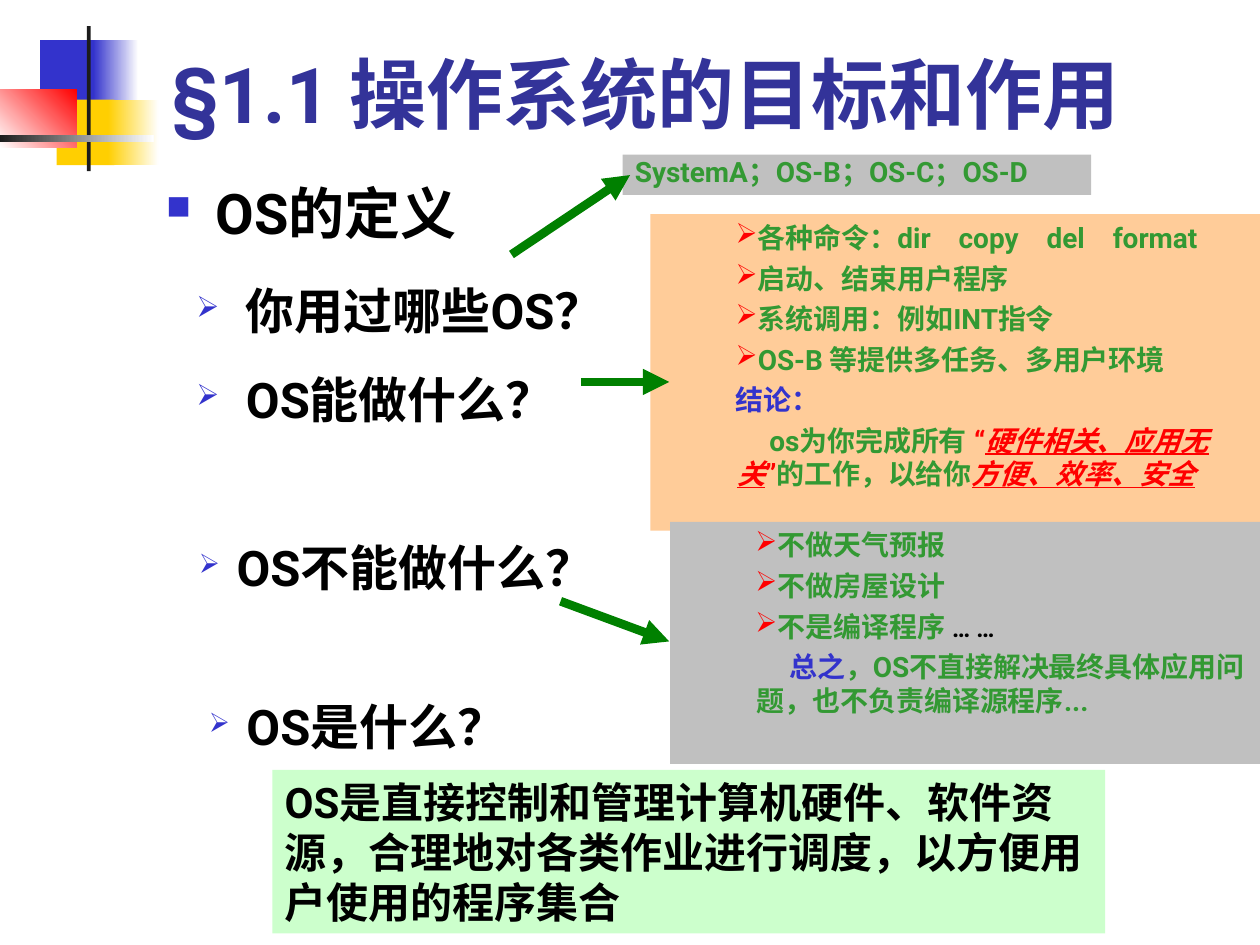
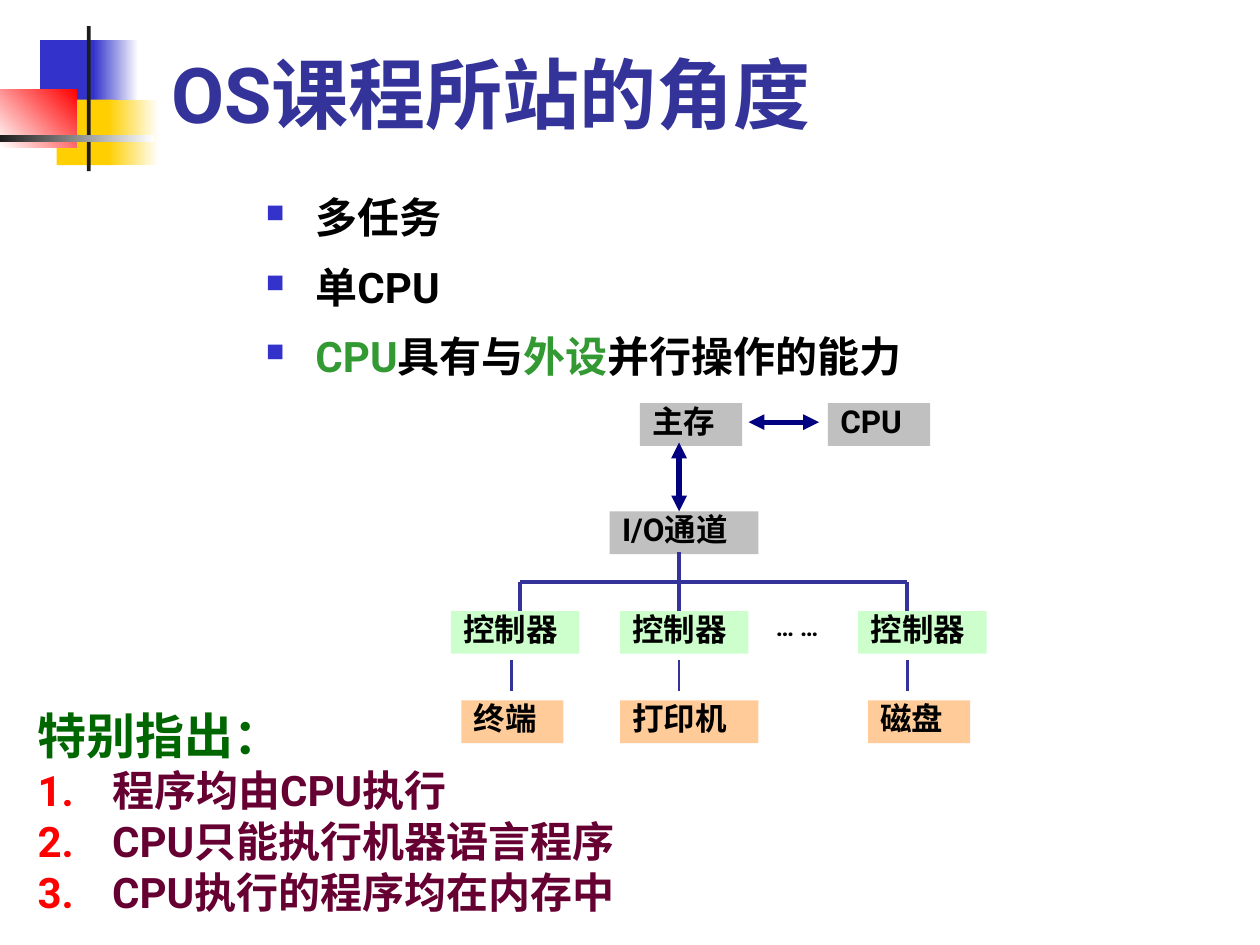
from pptx import Presentation
from pptx.dml.color import RGBColor
from pptx.enum.shapes import MSO_CONNECTOR, MSO_SHAPE
from pptx.enum.text import MSO_ANCHOR, MSO_AUTO_SIZE, PP_ALIGN
from pptx.oxml.ns import qn
from pptx.util import Cm, Pt
from lxml import etree

RECTANGLE = MSO_SHAPE.RECTANGLE
STRAIGHT = MSO_CONNECTOR.STRAIGHT
LEFT = PP_ALIGN.LEFT
TOP, BOTTOM = MSO_ANCHOR.TOP, MSO_ANCHOR.BOTTOM
FIXED = MSO_AUTO_SIZE.NONE
TITLE_ONLY = 5

FONT = "Roboto"
COLORS = {
    "black": "000000", "white": "FFFFFF", "ink": "1C1C1C",
    "title": "333399", "blue": "3333CC", "navy": "000080",
    "yellow": "FFCF01", "red": "FF0000", "plum": "660033",
    "green": "339933", "arrow": "008000", "forest": "006600",
    "gray": "C0C0C0", "peach": "FFCC99", "mint": "CCFFCC",
}

# Paragraph styles: size, color, spacing before, line spacing, indents, bullet
STYLES = {
    "topic": dict(size=32, before=8, lines=0.8, margin=1, first=-1,
                  bullet="■", tint="blue", scale=60),
    "fact": dict(size=24, before=6, lines=0.8, margin=1, first=-1,
                 bullet="■", tint="blue", scale=60),
    "question": dict(size=28, before=7, margin=1, first=-1,
                     bullet="➢", tint="blue", scale=60),
    "subquestion": dict(size=28, before=7, margin=0.76, first=-0.76,
                        bullet="➢", tint="blue", scale=55),
    "systems": dict(size=16, color="green", before=4, lines=0.8),
    "answer": dict(size=16, color="green", before=4, margin=1.5, first=-0.03,
                   bullet="➢", tint="red"),
    "heading": dict(size=16, color="blue", before=4, margin=1.5, first=-0.03),
    "summary": dict(size=16, color="green", before=4, margin=1.5, first=0.65),
    "definition": dict(size=24, before=6),
    "unit": dict(size=18, before=4.5, lines=0.8),
    "dots": dict(size=14, before=3.5, lines=0.8),
    "notice": dict(size=28, color="forest", before=7, lines=0.8),
    "rule": dict(size=24, color="plum", before=6, lines=0.8, margin=1.5,
                 first=-1.5, bullet="1.", tint="red"),
}


def rgb(name):
    return RGBColor.from_string(COLORS[name])


def add_xml(parent, tag, **values):
    child = etree.SubElement(parent, qn(tag))
    for name, value in values.items():
        child.set(name, str(value))
    return child


class SlideBuilder:
    def __init__(self, deck):
        self.deck = deck
        self.page = None

    def new_page(self, title):
        self.page = self.deck.slides.add_slide(self.deck.slide_layouts[TITLE_ONLY])
        self.ornament()
        holder = self.page.shapes.title
        self.place(holder, 3.2, 0.91, 21.64, 2.01)
        self.set_frame(holder.text_frame, BOTTOM)
        self.fill_paragraph(holder.text_frame.paragraphs[0], title,
                            dict(size=44, color="title"))

    def place(self, shape, *box):
        for name, value in zip(("left", "top", "width", "height"), box):
            setattr(shape, name, Cm(value))

    def set_frame(self, frame, anchor=TOP):
        values = dict(word_wrap=True, auto_size=FIXED, vertical_anchor=anchor)
        for name, value in values.items():
            setattr(frame, name, value)

    def panel(self, box, fill, fade=None, angle=0):
        shape = self.page.shapes.add_shape(RECTANGLE, *map(Cm, box))
        shape.shadow.inherit = False
        shape.line.fill.background()
        if fade:
            shape.fill.gradient()
            shape.fill.gradient_angle = angle
            for stop, name, spot in zip(shape.fill.gradient_stops, (fill, fade), (0, 1)):
                stop.color.rgb = rgb(name)
                stop.position = spot
        else:
            shape.fill.solid()
            shape.fill.fore_color.rgb = rgb(fill)
        return shape

    def ornament(self):
        self.panel((0.81, 0.81, 1.22, 1.32), "blue")
        self.panel((1.88, 0.81, 0.91, 1.32), "blue", "white")
        self.panel((1.14, 2.01, 1.17, 1.32), "yellow")
        self.panel((2.18, 2.01, 1.02, 1.32), "yellow", "white")
        self.panel((0, 1.8, 1.55, 1.17), "white", "red", 45)
        self.panel((1.75, 0.53, 0.08, 2.92), "ink")
        self.panel((0, 2.72, 3.1, 0.15), "ink", "white")

    def text(self, box, *paragraphs, fill=None):
        """Each paragraph is (style name, content)."""
        if fill:
            shape = self.panel(box, fill)
        else:
            shape = self.page.shapes.add_textbox(*map(Cm, box))
        frame = shape.text_frame
        self.set_frame(frame)
        for number, (style, content) in enumerate(paragraphs):
            para = frame.add_paragraph() if number else frame.paragraphs[0]
            self.fill_paragraph(para, content, STYLES[style])

    def fill_paragraph(self, para, content, style):
        """Content is a string or a list of strings and (string, changes)."""
        para.alignment = LEFT
        para.space_before = Pt(style.get("before", 0))
        para.line_spacing = style.get("lines", 1.0)
        self.set_bullet(para, style)
        for part in [content] if isinstance(content, str) else content:
            words, changes = (part, {}) if isinstance(part, str) else part
            look = {**style, **changes}
            span = para.add_run()
            span.text = words
            values = dict(name=FONT, size=Pt(look["size"]), bold=True,
                          italic=look.get("italic"), underline=look.get("underline"))
            for name, value in values.items():
                setattr(span.font, name, value)
            span.font.color.rgb = rgb(look.get("color", "black"))
            add_xml(span.font._element, "a:ea", typeface=FONT)

    def set_bullet(self, para, style):
        props = para._p.get_or_add_pPr()
        props.set("marL", str(Cm(style.get("margin", 0))))
        props.set("indent", str(Cm(style.get("first", 0))))
        bullet = style.get("bullet")
        if not bullet:
            add_xml(props, "a:buNone")
            return
        tint = add_xml(props, "a:buClr")
        add_xml(tint, "a:srgbClr", val=COLORS[style["tint"]])
        add_xml(props, "a:buSzPct", val=style.get("scale", 100) * 1000)
        if bullet == "1.":
            add_xml(props, "a:buAutoNum", type="arabicPeriod")
        else:
            add_xml(props, "a:buChar", char=bullet)

    def line(self, start, end, color, width, arrows=()):
        link = self.page.shapes.add_connector(STRAIGHT, *map(Cm, start + end))
        link.line.width = Pt(width)
        link.line.color.rgb = rgb(color)
        props = link._element.spPr
        for tag in arrows:
            add_xml(props.find(qn("a:ln")), tag, type="triangle")
        add_xml(props, "a:effectLst")


def build_goals(builder):
    builder.new_page("§1.1 操作系统的目标和作用")
    builder.text((3.1, 3.73, 11, 1.6), ("topic", "OS的定义"))

    # Answers beside the questions
    stress = dict(color="red", italic=True, underline=True)
    red = dict(color="red")
    builder.text((12.55, 3.12, 9.45, 0.81),
                 ("systems", "SystemA；OS-B；OS-C；OS-D"), fill="gray")
    builder.text(
        (13.11, 4.32, 12.29, 6.38),
        ("answer", "各种命令：dir　copy　del　format"),
        ("answer", "启动、结束用户程序"),
        ("answer", "系统调用：例如INT指令"),
        ("answer", "OS-B 等提供多任务、多用户环境"),
        ("heading", "结论："),
        ("summary", ["os为你完成所有 ", ("“", red), ("硬件相关、应用无关", stress),
                     ("”", red), "的工作，以给你", ("方便、效率、安全", stress)]),
        fill="peach")
    builder.text(
        (13.51, 10.52, 11.89, 4.88),
        ("answer", "不做天气预报"),
        ("answer", "不做房屋设计"),
        ("answer", ["不是编译程序 ", ("… …", dict(size=14, color="black"))]),
        ("summary", [("总之", dict(color="blue")),
                     "，OS不直接解决最终具体应用问题，也不负责编译源程序..."]),
        fill="gray")
    for start, end in (((10.31, 5.13), (12.7, 3.53)),
                       ((11.71, 7.7), (13.49, 7.7)),
                       ((11.3, 12.12), (13.49, 12.93))):
        builder.line(start, end, "arrow", 5, ["a:tailEnd"])

    # Definition
    builder.text((5.49, 15.52, 16.79, 3.3),
                 ("definition", "OS是直接控制和管理计算机硬件、软件资源，合理地对各类作业"
                                "进行调度，以方便用户使用的程序集合"), fill="mint")

    # Questions
    for left, top, style, question in (
            (3.71, 5.54, "question", "你用过哪些OS？"),
            (3.71, 7.32, "question", "OS能做什么？"),
            (3.76, 10.72, "subquestion", "OS不能做什么？"),
            (3.96, 13.92, "subquestion", "OS是什么？")):
        builder.text((left, top, 11, 1.4), (style, question))


def build_viewpoint(builder):
    builder.new_page("OS课程所站的角度")
    green = dict(color="green")
    facts = ["多任务", "单CPU",
             [("CPU", green), "具有与", ("外设", green), "并行操作的能力"]]
    for row, fact in enumerate(facts):
        builder.text((5.11, 3.94 + 1.4 * row, 16, 1.19), ("fact", fact))

    # Units of the machine
    bus_top, control_top, device_top = 11.73, 12.32, 14.12
    middle, unit_height = 13.69, 0.86
    units = [(12.9, 8.13, 2.06, "主存", "gray"),
             (16.69, 8.13, 2.06, "CPU", "gray"),
             (12.29, 10.31, 3, "I/O通道", "gray")]
    units += [(left, control_top, 2.59, "控制器", "mint") for left in (9.09, 12.5, 17.3)]
    units += [(left, device_top, width, name, "peach") for left, width, name in
              ((9.3, 2.06, "终端"), (12.5, 2.79, "打印机"), (17.5, 2.06, "磁盘"))]
    for left, top, width, name, fill in units:
        builder.text((left, top, width, unit_height), ("unit", name), fill=fill)
    builder.text((15.39, control_top, 1.5, 0.74), ("dots", "… …"))

    # Links between the units
    both_ends = ["a:headEnd", "a:tailEnd"]
    builder.line((15.09, 8.51), (16.51, 8.51), "navy", 3, both_ends)
    builder.line((middle, 8.92), (middle, 10.31), "navy", 3, both_ends)
    builder.line((middle, 11.13), (middle, bus_top), "title", 2.25)
    builder.line((10.49, bus_top), (18.29, bus_top), "title", 2.25)
    for drop, stub in ((10.49, 10.31), (middle, middle), (18.29, 18.29)):
        builder.line((drop, bus_top), (drop, control_top), "title", 2.25)
        builder.line((stub, 13.31), (stub, 13.92), "title", 1.5)

    # Points to remember
    builder.text((0.51, 14.33, 18.39, 4.29),
                 ("notice", "特别指出："),
                 ("rule", "程序均由CPU执行"),
                 ("rule", "CPU只能执行机器语言程序"),
                 ("rule", "CPU执行的程序均在内存中"))


def main():
    deck = Presentation()
    deck.slide_width, deck.slide_height = Cm(25.4), Cm(19.05)
    builder = SlideBuilder(deck)
    build_goals(builder)
    build_viewpoint(builder)
    deck.save("out.pptx")


if __name__ == "__main__":
    main()
